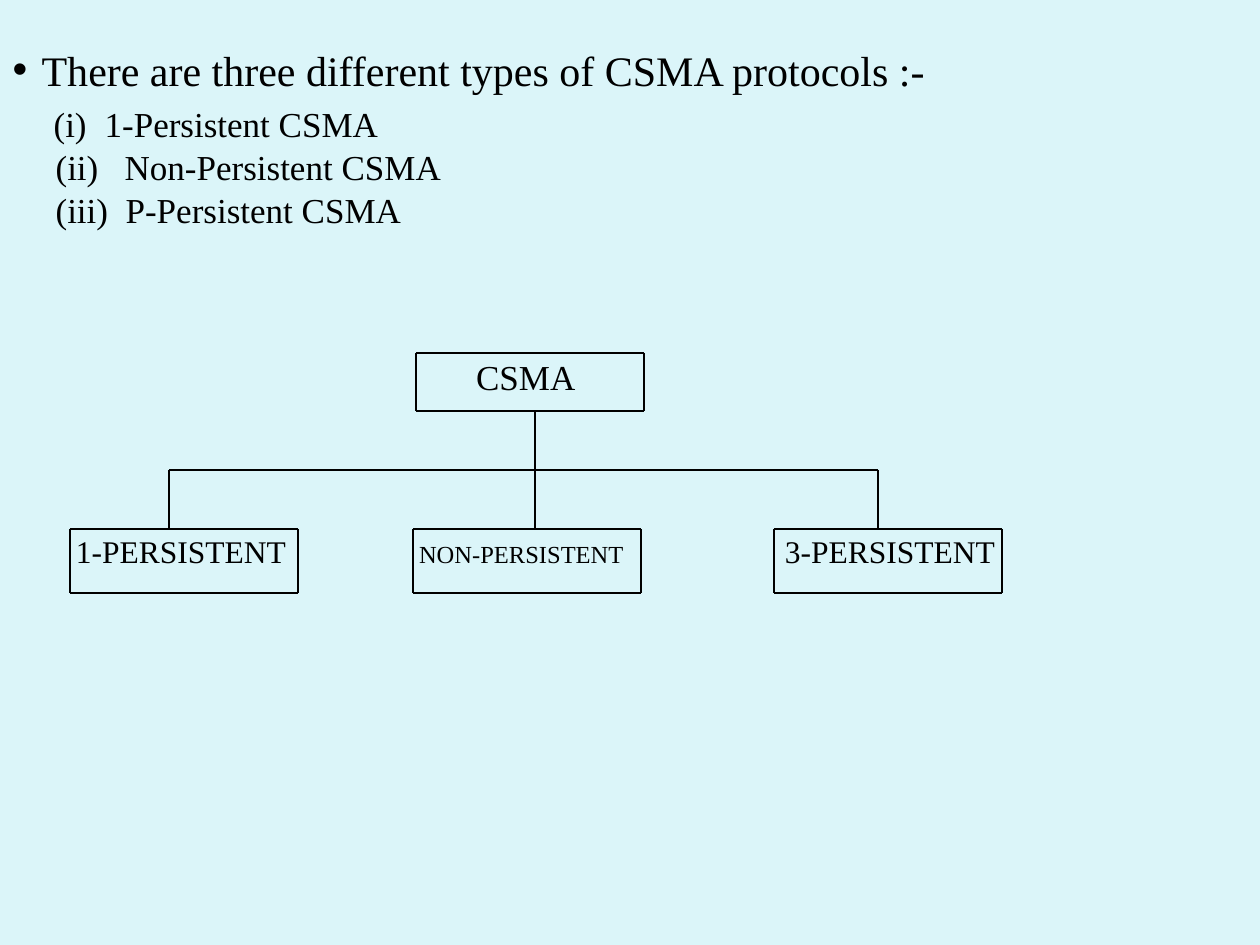
from dataclasses import dataclass

from lxml import etree
from pptx import Presentation
from pptx.dml.color import RGBColor
from pptx.enum.shapes import MSO_CONNECTOR
from pptx.enum.text import MSO_ANCHOR, MSO_AUTO_SIZE
from pptx.oxml.ns import qn
from pptx.util import Emu, Pt

STRAIGHT = MSO_CONNECTOR.STRAIGHT
TOP = MSO_ANCHOR.TOP


@dataclass(frozen=True)
class Theme:
    background: RGBColor = RGBColor(0xDB, 0xF5, 0xF9)
    ink: RGBColor = RGBColor(0, 0, 0)
    font: str = "Times New Roman"
    heading: int = 24
    item: int = 20
    child: int = 18
    small: int = 14
    line: float = 0.75


THEME = Theme()

HEADING = "There are three different types of CSMA protocols :-"
# marker, its left edge, protocol, its left edge
PROTOCOLS = [
    ("(i)", 54, "1-Persistent CSMA", 105),
    ("(ii)", 56, "Non-Persistent CSMA", 125),
    ("(iii)", 56, "P-Persistent CSMA", 126),
]
BODY = (0, 38, 1260, 205)
INSET, HEADING_LEFT = 13, 42

CHILD_TOP, CHILD_HEIGHT, BOX_WIDTH = 529, 64, 228
ROOT_TOP, ROOT_HEIGHT = 353, 58
# label, left, top, height, label offset across and down, size
BOXES = [
    ("CSMA", 416, ROOT_TOP, ROOT_HEIGHT, 60, 2, THEME.item),
    ("1-PERSISTENT", 70, CHILD_TOP, CHILD_HEIGHT, 6, 3, THEME.child),
    ("NON-PERSISTENT", 413, CHILD_TOP, CHILD_HEIGHT, 6, 10, THEME.small),
    ("3-PERSISTENT", 774, CHILD_TOP, CHILD_HEIGHT, 11, 3, THEME.child),
]
BUS_Y, FIRST_DROP, TRUNK, LAST_DROP = 470, 169, 535, 878
BRANCHES = [
    (FIRST_DROP, BUS_Y, LAST_DROP, BUS_Y),
    (FIRST_DROP, BUS_Y, FIRST_DROP, CHILD_TOP),
    (TRUNK, ROOT_TOP + ROOT_HEIGHT, TRUNK, CHILD_TOP),
    (LAST_DROP, BUS_Y, LAST_DROP, CHILD_TOP),
]


def px(length):
    return Emu(round(length * 914400 / 126))


def set_font(paragraph, size):
    font = paragraph.font
    font.name, font.size = THEME.font, Pt(size)
    font.color.rgb = THEME.ink


def set_hanging(paragraph, first, rest):
    """Put the first word and the text after it at these slide positions."""
    properties = paragraph._p.get_or_add_pPr()
    properties.set("marL", str(px(rest - INSET)))
    properties.set("indent", str(px(first - rest)))
    return properties


def fill_body(body):
    body.left, body.top, body.width, body.height = map(px, BODY)
    frame = body.text_frame
    frame.auto_size = MSO_AUTO_SIZE.NONE
    frame.vertical_anchor = TOP
    heading = frame.paragraphs[0]
    heading.text = HEADING
    set_hanging(heading, INSET, HEADING_LEFT)
    heading.space_before = Pt(0)
    set_font(heading, THEME.heading)
    for index, (marker, marker_left, protocol, left) in enumerate(PROTOCOLS):
        item = frame.add_paragraph()
        item.text = f"{marker}\t{protocol}"
        properties = set_hanging(item, marker_left, left)
        etree.SubElement(properties, qn("a:buNone"))
        item.space_before = Pt(0.5 if index else 4.4)
        set_font(item, THEME.item)


def add_line(slide, ends):
    line = slide.shapes.add_connector(STRAIGHT, *map(px, ends))
    line.line.color.rgb, line.line.width = THEME.ink, Pt(THEME.line)
    etree.SubElement(line._element.spPr, qn("a:effectLst"))


def add_box(slide, label, left, top, height, across, down, size):
    """Rule the four sides of a box and set its label inside."""
    right, bottom = left + BOX_WIDTH, top + height
    for y in (top, bottom):
        add_line(slide, (left, y, right, y))
    for x in (left, right):
        add_line(slide, (x, top, x, bottom))
    text_area = (left + across, top + down, BOX_WIDTH - across, height - down)
    frame = slide.shapes.add_textbox(*map(px, text_area)).text_frame
    frame.word_wrap = True
    frame.margin_left = frame.margin_top = 0
    frame.margin_right = frame.margin_bottom = 0
    paragraph = frame.paragraphs[0]
    paragraph.text = label
    set_font(paragraph, size)


def main():
    deck = Presentation()
    deck.slide_width, deck.slide_height = px(1260), px(945)
    slide = deck.slides.add_slide(deck.slide_layouts[1])
    slide.background.fill.solid()
    slide.background.fill.fore_color.rgb = THEME.background
    title = slide.shapes.title._element
    title.getparent().remove(title)

    fill_body(slide.placeholders[1])
    for box in BOXES:
        add_box(slide, *box)
    for ends in BRANCHES:
        add_line(slide, ends)
    deck.save("out.pptx")


if __name__ == "__main__":
    main()
